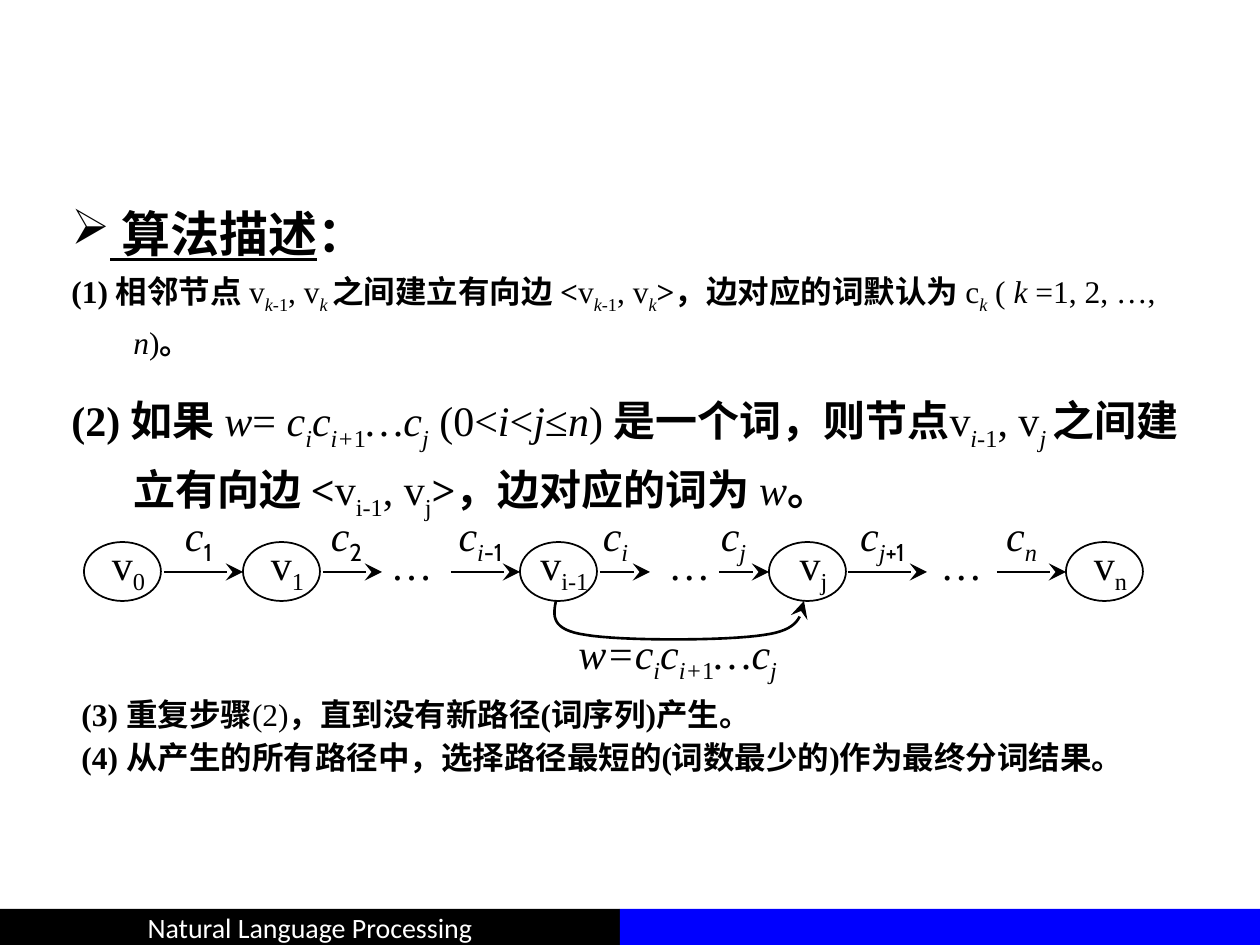
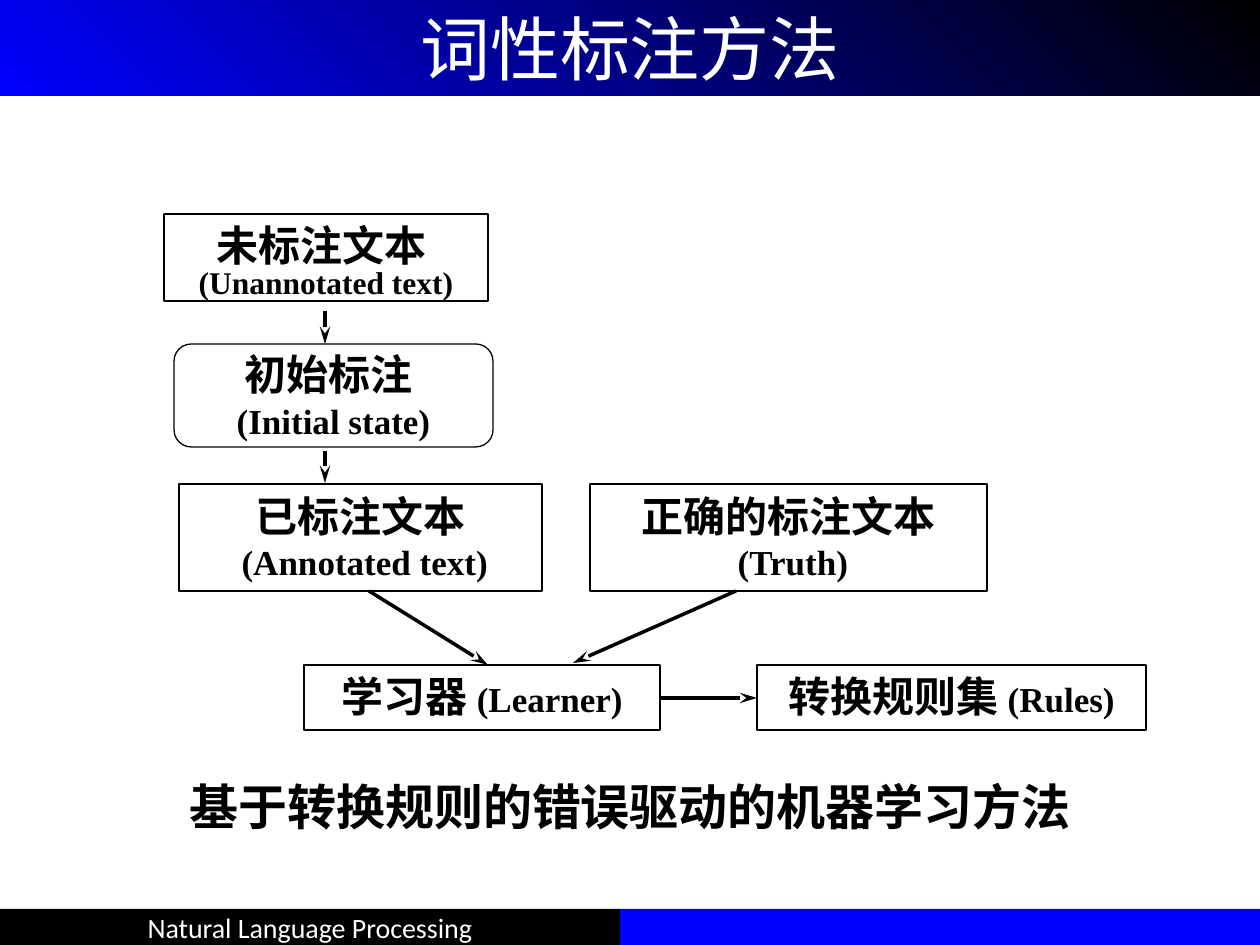
from dataclasses import dataclass
from typing import NamedTuple, Optional

from lxml import etree
from pptx import Presentation
from pptx import util as u
from pptx.dml.color import RGBColor
from pptx.enum import shapes, text
from pptx.oxml.ns import qn

PX = 914400 / 126
SHAPE = shapes.MSO_SHAPE
LEFT, CENTER = text.PP_ALIGN.LEFT, text.PP_ALIGN.CENTER
TOP, MIDDLE = text.MSO_ANCHOR.TOP, text.MSO_ANCHOR.MIDDLE


@dataclass(frozen=True)
class Theme:
    black: RGBColor = RGBColor(0, 0, 0)
    white: RGBColor = RGBColor(255, 255, 255)
    blue: RGBColor = RGBColor(0, 0, 255)
    serif: str = "Times New Roman"
    sans: str = "Calibri"
    digit: str = "Cabin"
    title: int = 40
    heading: int = 28
    body: int = 24
    label: int = 20
    small: int = 18
    footer: int = 16


T = Theme()


class Box(NamedTuple):
    x: int
    y: int
    w: int
    h: int


class Run(NamedTuple):
    """Style letters: b bold, i italic, u underline, s subscript, d digit font."""
    text: str
    style: str = ""
    size: int = T.body
    font: str = T.serif
    color: RGBColor = T.black


class Para(NamedTuple):
    runs: list[Run]
    align: text.PP_ALIGN = CENTER
    spacing: Optional[float] = None
    before: int = 0
    hang: int = 0
    bullet: str = ""


class Edge(NamedTuple):
    start: int
    end: int
    label_x: int
    label_w: int
    sub: list[Run]


class Node(NamedTuple):
    x: int
    sub: str


class Stage(NamedTuple):
    box: Box
    paras: list[Para]
    kind: shapes.MSO_SHAPE = SHAPE.RECTANGLE
    pad_top: int = 6


class Arrow(NamedTuple):
    x1: int
    y1: int
    x2: int
    y2: int


def emu(px: float) -> u.Emu:
    return u.Emu(round(px * PX))


def runs_of(parts: list[tuple[str, str]], size: int = T.body) -> list[Run]:
    return [Run(t, style, size) for t, style in parts]


def fill_text(sp, paras: list[Para], anchor=TOP, wrap: bool = True) -> None:
    tf = sp.text_frame
    tf.word_wrap = wrap
    tf.vertical_anchor = anchor
    for n, para in enumerate(paras):
        p = tf.paragraphs[0] if n == 0 else tf.add_paragraph()
        p.alignment = para.align
        if para.spacing:
            p.line_spacing = para.spacing
        if para.before:
            p.space_before = u.Pt(para.before)
        pPr = p._p.get_or_add_pPr()
        if para.hang:
            pPr.set("marL", str(emu(para.hang)))
            pPr.set("indent", str(-emu(para.hang)))
        if para.bullet:
            etree.SubElement(pPr, qn("a:buChar")).set("char", para.bullet)
        for run in para.runs:
            r = p.add_run()
            r.text = run.text
            f = r.font
            f.size = u.Pt(run.size)
            f.name = T.digit if "d" in run.style else run.font
            f.color.rgb = run.color
            f.bold = "b" in run.style
            f.italic = "i" in run.style
            f.underline = "u" in run.style
            if "s" in run.style:
                r._r.get_or_add_rPr().set("baseline", "-25000")


def add_text(s, box: Box, paras: list[Para]) -> None:
    fill_text(s.shapes.add_textbox(*map(emu, box)), paras)


def add_box(s, box: Box, kind=SHAPE.RECTANGLE, fill: Optional[RGBColor] = None,
            line: float = 0):
    sp = s.shapes.add_shape(kind, *map(emu, box))
    sp.shadow.inherit = False
    if fill is None:
        sp.fill.background()
    else:
        sp.fill.solid()
        sp.fill.fore_color.rgb = fill
    if line:
        sp.line.color.rgb = T.black
        sp.line.width = u.Pt(line)
    else:
        sp.line.fill.background()
    return sp


def style_arrow(sp, width: float, head_w: str) -> None:
    sp.line.color.rgb = T.black
    sp.line.width = u.Pt(width)
    tail = etree.SubElement(sp.line._get_or_add_ln(), qn("a:tailEnd"))
    for key, value in (("type", "stealth"), ("w", head_w), ("len", "lg")):
        tail.set(key, value)


def add_arrow(s, arrow: Arrow, width: float, head_w: str) -> None:
    sp = s.shapes.add_connector(shapes.MSO_CONNECTOR.STRAIGHT, *map(emu, arrow))
    style_arrow(sp, width, head_w)
    etree.SubElement(sp._element.spPr, qn("a:effectLst"))


def add_curve(s, points: list[tuple[int, int]], steps: int = 16) -> None:
    path = [points[0]]
    for n in range(0, len(points) - 1, 3):
        a, b, c, d = points[n:n + 4]
        for k in range(1, steps + 1):
            t = k / steps
            weights = ((1 - t) ** 3, 3 * t * (1 - t) ** 2, 3 * t * t * (1 - t), t ** 3)
            path.append(tuple(sum(w * q[axis] for w, q in zip(weights, (a, b, c, d)))
                              for axis in (0, 1)))
    path = [(emu(x), emu(y)) for x, y in path]
    fb = s.shapes.build_freeform(*path[0])
    fb.add_line_segments(path[1:], close=False)
    sp = fb.convert_to_shape()
    sp.shadow.inherit = False
    sp.fill.background()
    style_arrow(sp, 1.5, "lg")


def new_slide(prs):
    s = prs.slides.add_slide(prs.slide_layouts[6])
    band = add_box(s, Box(0, 909, 620, 36), fill=T.black)
    run = Run("Natural Language Processing", "", T.footer, T.sans, T.white)
    fill_text(band, [Para([run])], MIDDLE, wrap=False)
    add_box(s, Box(620, 909, 640, 36), fill=T.blue)
    return s


def add_title(s, title: str) -> None:
    sp = add_box(s, Box(0, 0, 1260, 96))
    sp.fill.gradient()
    sp.fill.gradient_angle = 45
    for stop, color in zip(sp.fill.gradient_stops, (T.blue, T.black)):
        stop.color.rgb = color
    fill_text(sp, [Para([Run(title, "", T.title, T.sans, T.white)])], MIDDLE)


WORD = [("c", "i"), ("i", "is"), ("c", "i"), ("i+", "is"), ("1", "s"), ("…c", "i")]

STEP_1 = [
    ("(1) 相邻节点 ", "b"), ("v", ""), ("k", "is"), ("-1", "s"), (", v", ""), ("k ", "is"),
    ("之间建立有向边 <", "b"), ("v", ""), ("k", "is"), ("-1", "s"), (", v", ""), ("k", "is"),
    (">，边对应的词默认为 ", "b"), ("c", ""), ("k", "is"), (" ( ", ""), ("k ", "i"),
    ("=1, 2, …, ", ""), ("n", "i"), (")", ""), ("。", "b"),
]
STEP_2 = [
    ("(2) 如果 ", "b"), ("w", "i"), ("= ", ""), *WORD, ("j", "is"), (" (0<", ""), ("i", "i"),
    ("<", ""), ("j", "i"), ("≤", ""), ("n", "i"), (") ", ""), ("是一个词，则节点", "b"),
    ("v", ""), ("i", "is"), ("-1", "s"), (", v", ""), ("j ", "is"),
    ("之间建立有向边 <", "b"), ("v", ""), ("i-1", "s"), (", v", ""), ("j", "s"),
    (">，边对应的词为 ", "b"), ("w", "i"), ("。", "b"),
]
STEP_3 = [("(3) 重复步骤", "b"), ("(2)", ""), ("，直到没有新路径(词序列)产生。", "b")]
STEP_4 = [("(4) 从产生的所有路径中，选择路径最短的(词数最少的)作为最终分词结果。", "b")]

NODES = [Node(84, "0"), Node(243, "1"), Node(520, "i-1"), Node(769, "j"), Node(1066, "n")]
EDGES = [
    Edge(164, 243, 164, 69, [Run("1", "ds")]),
    Edge(323, 382, 312, 69, [Run("2", "ds")]),
    Edge(451, 520, 441, 79, [Run("i", "is"), Run("-1", "ds")]),
    Edge(600, 650, 581, 69, [Run("i", "is")]),
    Edge(719, 769, 699, 69, [Run("j", "is")]),
    Edge(848, 927, 838, 89, [Run("j", "is"), Run("+1", "ds")]),
    Edge(997, 1066, 987, 69, [Run("n", "is")]),
]
GAPS = [(372, 79), (650, 79), (927, 69)]
WORD_ARC = [(556, 601), (553, 616), (551, 630), (586, 635), (620, 641), (727, 641),
            (764, 635), (800, 630), (801, 616), (804, 601)]


def algorithm_slide(prs) -> None:
    s = new_slide(prs)
    intro = add_box(s, Box(59, 197, 1142, 199), fill=T.white)
    fill_text(intro, [
        Para(runs_of([(" 算法描述", "bu"), ("：", "b")], T.heading), LEFT, bullet="➢"),
        Para(runs_of(STEP_1, T.small), LEFT, 1.2, 1, 62),
    ])
    add_text(s, Box(59, 377, 1152, 135), [Para(runs_of(STEP_2), LEFT, 1.2, hang=62)])
    for node in NODES:
        add_box(s, Box(node.x, 542, 77, 59), SHAPE.OVAL, line=1)
        add_text(s, Box(node.x, 532, 89, 63), [Para([Run("v"), Run(node.sub, "s")])])
    for edge in EDGES:
        add_arrow(s, Arrow(edge.start, 572, edge.end, 572), 1.5, "lg")
        add_text(s, Box(edge.label_x, 503, edge.label_w, 63),
                 [Para([Run("c", "i"), *edge.sub])])
    for x, w in GAPS:
        add_text(s, Box(x, 532, w, 63), [Para([Run("…")])])
    add_curve(s, WORD_ARC)
    add_text(s, Box(566, 621, 258, 63),
             [Para(runs_of([("w=", "i"), *WORD, ("j", "is")]), LEFT)])
    add_text(s, Box(69, 689, 1142, 180), [
        Para(runs_of(STEP_3, T.small), LEFT),
        Para(runs_of(STEP_4, T.small), LEFT, before=3, hang=62),
    ])


def two_lines(name: str, english: str, size: int = T.label,
              spacing: Optional[float] = None) -> list[Para]:
    return [Para([Run(name, "b")]), Para([Run(english, "b", size)], spacing=spacing)]


def one_line(name: str, english: str) -> list[Para]:
    return [Para([Run(name, "b"), Run(english, "b", T.label)])]


STAGES = [
    Stage(Box(164, 214, 324, 87), two_lines("未标注文本 ", "(Unannotated text)", T.small, 0.8)),
    Stage(Box(174, 344, 319, 103), two_lines("初始标注 ", "(Initial state)"),
          SHAPE.ROUNDED_RECTANGLE, 0),
    Stage(Box(179, 484, 363, 107), two_lines("已标注文本", " (Annotated text)")),
    Stage(Box(590, 484, 397, 107), two_lines("正确的标注文本", " (Truth)")),
    Stage(Box(304, 665, 356, 65), one_line("学习器 ", "(Learner)")),
    Stage(Box(757, 665, 389, 65), one_line("转换规则集 ", "(Rules)")),
]
FLOWS = [
    Arrow(325, 311, 325, 344), Arrow(325, 451, 325, 483), Arrow(369, 591, 488, 665),
    Arrow(736, 591, 573, 663), Arrow(660, 698, 757, 698),
]


def tagging_slide(prs) -> None:
    s = new_slide(prs)
    for stage in STAGES:
        sp = add_box(s, stage.box, stage.kind, T.white, 0.75)
        fill_text(sp, stage.paras)
        sp.text_frame.margin_top = emu(stage.pad_top)
    for flow in FLOWS:
        add_arrow(s, flow, 2, "med")
    add_text(s, Box(154, 770, 952, 69),
             [Para([Run("基于转换规则的错误驱动的机器学习方法", "b", T.heading)])])
    add_title(s, "词性标注方法")


def main() -> None:
    prs = Presentation()
    prs.slide_width, prs.slide_height = emu(1260), emu(945)
    algorithm_slide(prs)
    tagging_slide(prs)
    prs.save("out.pptx")


if __name__ == "__main__":
    main()
